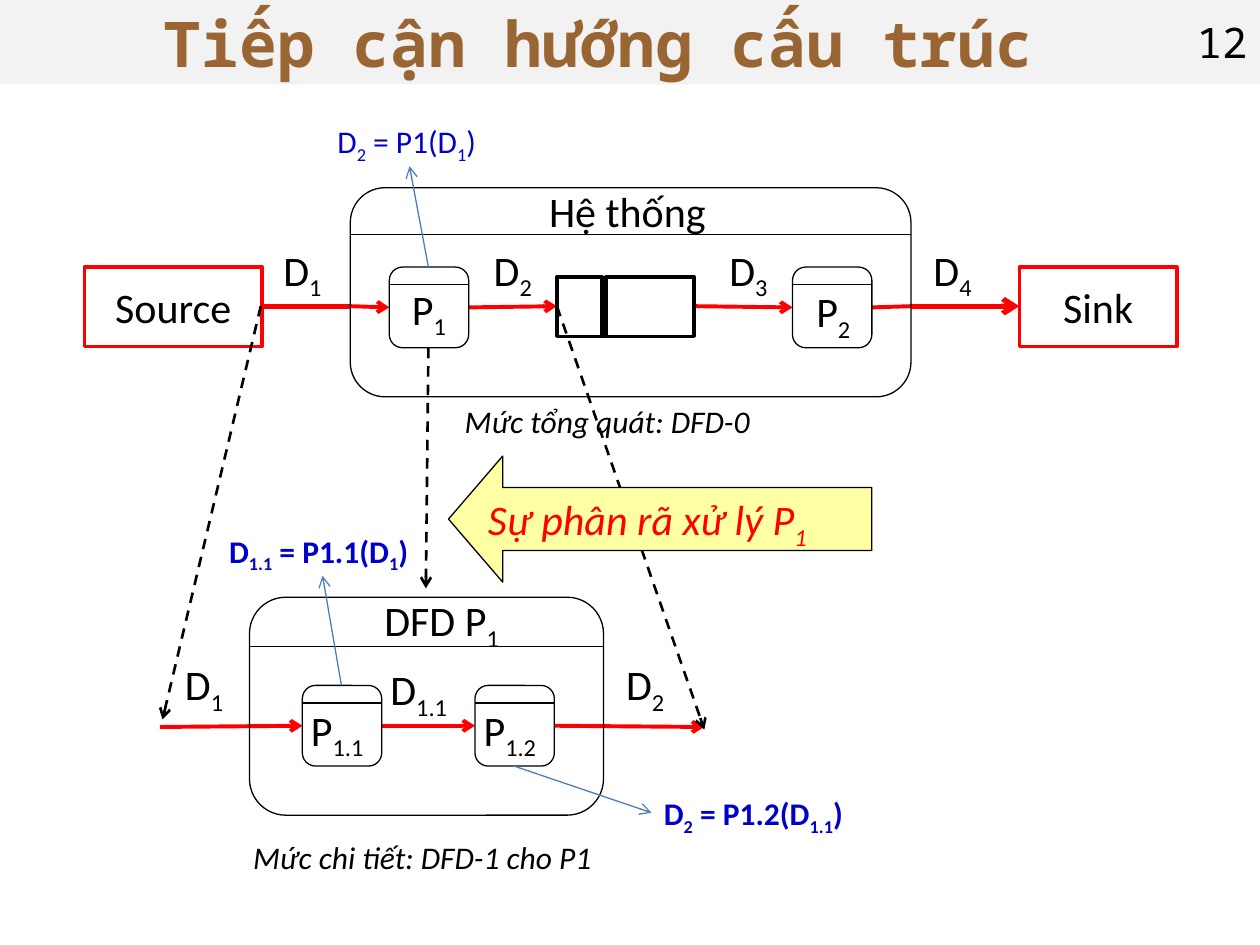
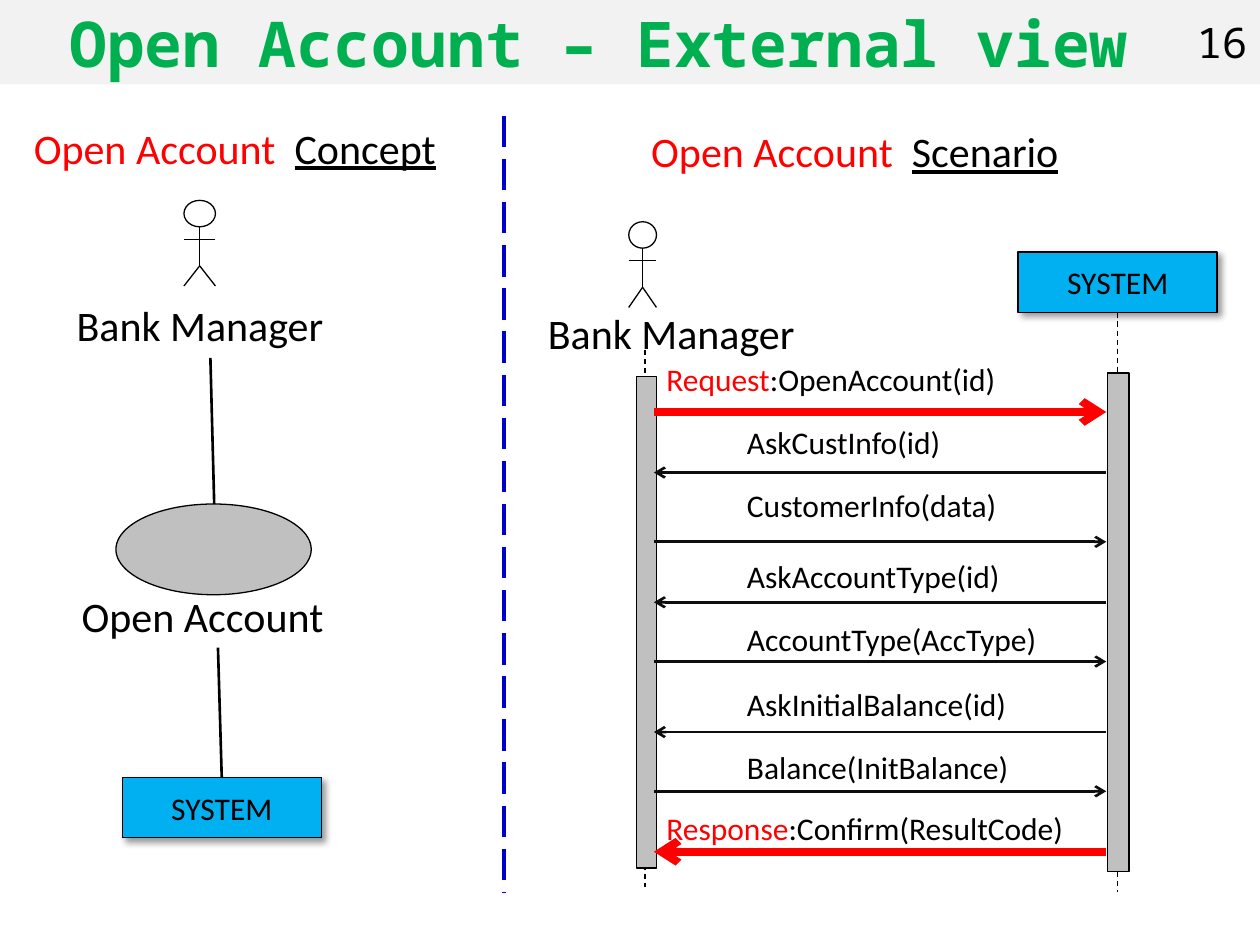
"""Build two slides: a structured data-flow decomposition and an account-opening scenario."""
from lxml import etree
from pptx import Presentation
from pptx.dml.color import RGBColor
from pptx.enum.dml import MSO_LINE
from pptx.enum.shapes import MSO_CONNECTOR, MSO_SHAPE
from pptx.enum.text import MSO_ANCHOR, MSO_AUTO_SIZE, PP_ALIGN
from pptx.oxml.ns import qn
from pptx.util import Inches, Pt

STRAIGHT = MSO_CONNECTOR.STRAIGHT
RECTANGLE, ROUNDED = MSO_SHAPE.RECTANGLE, MSO_SHAPE.ROUNDED_RECTANGLE
OVAL, LEFT_ARROW = MSO_SHAPE.OVAL, MSO_SHAPE.LEFT_ARROW
DASH, LONG_DASH = MSO_LINE.DASH, MSO_LINE.LONG_DASH
MIDDLE, TOP = MSO_ANCHOR.MIDDLE, MSO_ANCHOR.TOP
LEFT, CENTER = PP_ALIGN.LEFT, PP_ALIGN.CENTER
GROW = MSO_AUTO_SIZE.SHAPE_TO_FIT_TEXT

BLACK = RGBColor(0x00, 0x00, 0x00)
WHITE = RGBColor(0xFF, 0xFF, 0xFF)
RED = RGBColor(0xFF, 0x00, 0x00)
BLUE = RGBColor(0x00, 0x00, 0xCC)
STEEL = RGBColor(0x4B, 0x7E, 0xBC)
CYAN = RGBColor(0x00, 0xB0, 0xF0)
GRAY = RGBColor(0xC0, 0xC0, 0xC0)
BAND = RGBColor(0xF2, 0xF2, 0xF2)
YELLOW = RGBColor(0xFF, 0xFF, 0xA3)
BROWN = RGBColor(0x99, 0x66, 0x33)
GREEN = RGBColor(0x00, 0xB0, 0x50)
INK = RGBColor(0x0D, 0x0D, 0x0D)

BODY_FONT, TITLE_FONT = "Calibri", "Noto Sans Mono"
THIN = 0.75
BAND_HEIGHT, TITLE_WIDTH = 0.67, 9.5

# Underscores enclose subscripts: "D_1_" is D with a lowered 1.
FLOWS = [
    ((7.23, 2.43), (8.09, 2.43), 3, True),
    ((2.07, 2.43), (2.78, 2.43), 3, False),
    ((5.51, 2.43), (6.29, 2.44), 2.25, True),
    ((3.71, 2.44), (4.42, 2.43), 2.25, True),
    ((6.92, 2.44), (7.23, 2.43), 2.25, False),
    ((2.78, 2.43), (3.09, 2.44), 2.25, True),
    ((3.03, 5.76), (3.77, 5.76), 2.25, True),
    ((1.27, 5.77), (2.4, 5.76), 2.25, True),
    ((4.4, 5.76), (5.59, 5.77), 2.25, True),
]
EXTERNALS = [("Source", 0.67, 1.41), ("Sink", 8.09, 1.25)]
STORE_CELLS = [(4.42, 0.36), (4.81, 0.7)]
STORE_TOP, STORE_HEIGHT = 2.2, 0.47
FRAMES = [(2.78, 1.49, 4.45, 1.66, 0.37), (1.98, 4.74, 2.81, 1.73, 0.39)]
PROCESSES = [
    ("P_2_", 6.29, 2.12, 6.38, 2.22, 0.49),
    ("P_1_", 3.09, 2.12, 3.17, 2.2, 0.49),
    ("P_1.1_", 2.4, 5.44, 2.37, 5.54, 0.66),
    ("P_1.2_", 3.77, 5.44, 3.74, 5.54, 0.66),
]
FLOW_LABELS = [
    ("Hệ thống", 4.26, 1.42, 1.57),
    ("D_4_", 7.31, 1.89, 0.52),
    ("D_3_", 5.69, 1.89, 0.52),
    ("D_2_", 3.82, 1.89, 0.52),
    ("D_1_", 2.15, 1.89, 0.52),
    ("D_1.1_", 3, 5.22, 0.69),
    ("D_1_", 1.37, 5.18, 0.57),
    ("D_2_", 4.87, 5.18, 0.52),
]
LEVELS = [
    ("Mức tổng quát: DFD-0", 3.59, 3.14, 2.7),
    ("Mức chi tiết: DFD-1 cho P1", 1.91, 6.6, 2.92),
]
EXPANSIONS = [
    ((3.4, 2.76), (3.38, 4.67)),
    ((2.07, 2.43), (1.29, 5.71)),
    ((4.42, 2.43), (5.59, 5.79)),
]
FORMULAS = [
    ("D_2_ = P1(D_1_)", 2.58, 0.92, 1.34, False, (3.4, 2.12), (3.25, 1.32)),
    ("D_1.1_ = P1.1(D_1_)", 1.72, 4.17, 1.68, True, (2.71, 5.44), (2.56, 4.57)),
    ("D_2_ = P1.2(D_1.1_)", 5.17, 6.25, 1.68, True, (4.08, 6.08), (5.17, 6.45)),
]

MESSAGES = [
    ("Request", ":OpenAccount(id)", 2.81, 3.11, 3.27),
    ("", "AskCustInfo(id)", 3.31, 1.93, 3.75),
    ("", "CustomerInfo(data)", 3.81, 2.38, 4.3),
    ("", "AskAccountType(id)", 4.37, 2.45, 4.78),
    ("", "AccountType(AccType)", 4.87, 2.8, 5.25),
    ("", "AskInitialBalance(id)", 5.39, 2.49, 5.81),
    ("", "Balance(InitBalance)", 5.89, 2.53, 6.28),
    ("Response", ":Confirm(ResultCode)", 6.37, 3.78, 6.76),
]
MANAGER_EDGE, SYSTEM_EDGE = 5.19, 8.78
ACTORS = [(4.99, 1.76, 0.22, 4.25, 2.39, 2.49), (1.46, 1.59, 0.25, 0.51, 2.33, 2.32)]
SYSTEM_BOXES = [(8.08, 2), (0.97, 6.17)]
LIFELINES = [(5.12, 2.78, 7.04), (8.87, 2.48, 7.08)]
ACTIVATIONS = [(5.05, 2.99, 0.16, 3.9), (8.79, 2.96, 0.17, 3.96)]
HEADINGS = [("Scenario", 5.07, 0.95, 3.83), ("Concept", 0.17, 0.92, 3.43)]
ASSOCIATIONS = [((1.7, 4), (1.67, 2.84)), ((1.73, 5.14), (1.76, 6.17))]


def write(paragraph, text, size, color=BLACK, bold=False, italic=False,
          underline=False, font_name=BODY_FONT):
    for index, piece in enumerate(text.split("_")):
        if not piece:
            continue
        run = paragraph.add_run()
        run.text = piece
        font = run.font
        font.name, font.size = font_name, Pt(size)
        font.bold, font.italic, font.underline = bold, italic, underline
        font.color.rgb = color
        if index % 2:
            run._r.get_or_add_rPr().set("baseline", "-25000")


def add_label(slide, text, left, top, width, size=24, lead="", wrap=False,
              align=LEFT, **style):
    height = 0.5 if size == 24 else 0.4
    box = slide.shapes.add_textbox(Inches(left), Inches(top), Inches(width), Inches(height))
    frame = box.text_frame
    frame.word_wrap, frame.auto_size = wrap, GROW
    paragraph = frame.paragraphs[0]
    paragraph.alignment = align
    write(paragraph, lead, size, RED)
    write(paragraph, text, size, **style)


def add_box(slide, kind, left, top, width, height, fill=None, line=BLACK, weight=THIN):
    shape = slide.shapes.add_shape(kind, Inches(left), Inches(top), Inches(width), Inches(height))
    shape.shadow.inherit = False
    if fill is None:
        shape.fill.background()
    else:
        shape.fill.solid()
        shape.fill.fore_color.rgb = fill
    if line is None:
        shape.line.fill.background()
    else:
        shape.line.color.rgb = line
        shape.line.width = Pt(weight)
    return shape


def fill_text(shape, text, size, align=CENTER, anchor=MIDDLE, **style):
    frame = shape.text_frame
    frame.vertical_anchor = anchor
    paragraph = frame.paragraphs[0]
    paragraph.alignment = align
    write(paragraph, text, size, **style)


def add_line(slide, start, end, color=BLACK, weight=THIN, arrow=False, dash=None):
    points = [Inches(value) for value in (*start, *end)]
    connector = slide.shapes.add_connector(STRAIGHT, *points)
    connector.line.color.rgb = color
    connector.line.width = Pt(weight)
    if dash is not None:
        connector.line.dash_style = dash
    properties = connector._element.spPr
    if arrow:
        etree.SubElement(properties.find(qn("a:ln")), qn("a:tailEnd"), type="arrow")
    etree.SubElement(properties, qn("a:effectLst"))


def add_drop_shadow(shape):
    effects = shape._element.spPr.find(qn("a:effectLst"))
    shadow = etree.SubElement(effects, qn("a:outerShdw"), blurRad=str(Pt(4)),
                              dist=str(Pt(3)), dir="2700000", algn="tl", rotWithShape="0")
    color = etree.SubElement(shadow, qn("a:srgbClr"), val=str(BLACK))
    etree.SubElement(color, qn("a:alpha"), val="40000")


def start_slide(presentation, title_text, color, number):
    slide = presentation.slides.add_slide(presentation.slide_layouts[5])
    title = slide.shapes.title
    title.left, title.top = Inches(0), Inches(0)
    title.width, title.height = Inches(TITLE_WIDTH), Inches(BAND_HEIGHT)
    title.fill.solid()
    title.fill.fore_color.rgb = BAND
    fill_text(title, title_text, 36, color=color, bold=True, font_name=TITLE_FONT)
    title.text_frame.auto_size = MSO_AUTO_SIZE.NONE
    corner = add_box(slide, RECTANGLE, TITLE_WIDTH, 0, 10 - TITLE_WIDTH, BAND_HEIGHT, BAND, None)
    corner.text_frame.margin_left = corner.text_frame.margin_right = 0
    fill_text(corner, str(number), 24, LEFT, font_name=TITLE_FONT)
    return slide


def add_process(slide, text, left, top, label_left, label_top, label_width):
    add_box(slide, ROUNDED, left, top, 0.63, 0.64, WHITE)
    add_line(slide, (left, top + 0.14), (left + 0.63, top + 0.14))
    add_label(slide, text, label_left, label_top, label_width)


def build_structure(presentation):
    slide = start_slide(presentation, "Tiếp cận hướng cấu trúc", BROWN, 12)
    for start, end, weight, arrow in FLOWS:
        add_line(slide, start, end, RED, weight, arrow)
    for left, width in STORE_CELLS:
        add_box(slide, RECTANGLE, left, STORE_TOP, width, STORE_HEIGHT, weight=2)
    for level in (STORE_TOP, STORE_TOP + STORE_HEIGHT):
        add_line(slide, (4.42, level), (5.51, level), weight=1.5)
    for text, left, width in EXTERNALS:
        fill_text(add_box(slide, RECTANGLE, left, 2.12, width, 0.63, line=RED, weight=2), text, 24)
    for left, top, width, height, header in FRAMES:
        add_box(slide, ROUNDED, left, top, width, height)
        add_line(slide, (left, top + header), (left + width, top + header))
    for process in PROCESSES:
        add_process(slide, *process)
    for label in FLOW_LABELS:
        add_label(slide, *label)
    add_label(slide, "DFD P_1_", 2.67, 4.67, 1.67, wrap=True, align=CENTER)
    for level in LEVELS:
        add_label(slide, *level, size=18, italic=True)
    for start, end in EXPANSIONS:
        add_line(slide, start, end, weight=1.5, arrow=True, dash=DASH)
    callout = add_box(slide, LEFT_ARROW, 3.56, 3.62, 3.36, 1, YELLOW)
    callout.adjustments[1] = 0.43
    fill_text(callout, "Sự phân rã xử lý P_1_", 24, LEFT, TOP, color=RED, italic=True)
    for text, left, top, width, bold, start, end in FORMULAS:
        add_label(slide, text, left, top, width, 18, color=BLUE, bold=bold)
        add_line(slide, start, end, STEEL, arrow=True)


def add_actor(slide, left, top, width, label_left, label_top, label_width):
    middle, right = left + width / 2, left + width
    neck, arms, hips, feet = (top + drop for drop in (0.21, 0.31, 0.52, 0.68))
    add_label(slide, "Bank Manager", label_left, label_top, label_width, wrap=True)
    add_box(slide, OVAL, left, top, width, 0.21)
    add_line(slide, (middle, neck), (middle, hips))
    add_line(slide, (left, arms), (right, arms))
    for foot in (left, right):
        add_line(slide, (middle, hips), (foot, feet))


def build_scenario(presentation):
    slide = start_slide(presentation, "Open Account – External view", GREEN, 16)
    for actor in ACTORS:
        add_actor(slide, *actor)
    for center, top, bottom in LIFELINES:
        add_line(slide, (center, top), (center, bottom), dash=DASH)
    for bar in ACTIVATIONS:
        add_box(slide, RECTANGLE, *bar, GRAY)
    for left, top in SYSTEM_BOXES:
        system = add_box(slide, RECTANGLE, left, top, 1.58, 0.48, CYAN)
        add_drop_shadow(system)
        fill_text(system, "SYSTEM", 18)
    for index, (lead, text, top, width, level) in enumerate(MESSAGES):
        add_label(slide, text, 5.19 if lead else 5.83, top, width, 18, lead)
        ends = [(MANAGER_EDGE, level), (SYSTEM_EDGE, level)]
        start, end = reversed(ends) if index % 2 else ends
        color, weight = (RED, 4.5) if lead else (INK, 1.5)
        add_line(slide, start, end, color, weight, True)
    for text, left, top, width in HEADINGS:
        add_label(slide, text, left, top, width, lead="Open Account  ", wrap=True, underline=True)
    add_box(slide, OVAL, 0.92, 4, 1.55, 0.72, GRAY)
    add_label(slide, "Open Account", 0.55, 4.64, 2.36, wrap=True)
    for start, end in ASSOCIATIONS:
        add_line(slide, start, end, weight=1.5)
    add_line(slide, (4, 0.92), (4, 7.08), BLUE, 2.25, dash=LONG_DASH)


def main():
    presentation = Presentation()
    presentation.slide_width, presentation.slide_height = Inches(10), Inches(7.5)
    build_structure(presentation)
    build_scenario(presentation)
    presentation.save("out.pptx")


if __name__ == "__main__":
    main()
